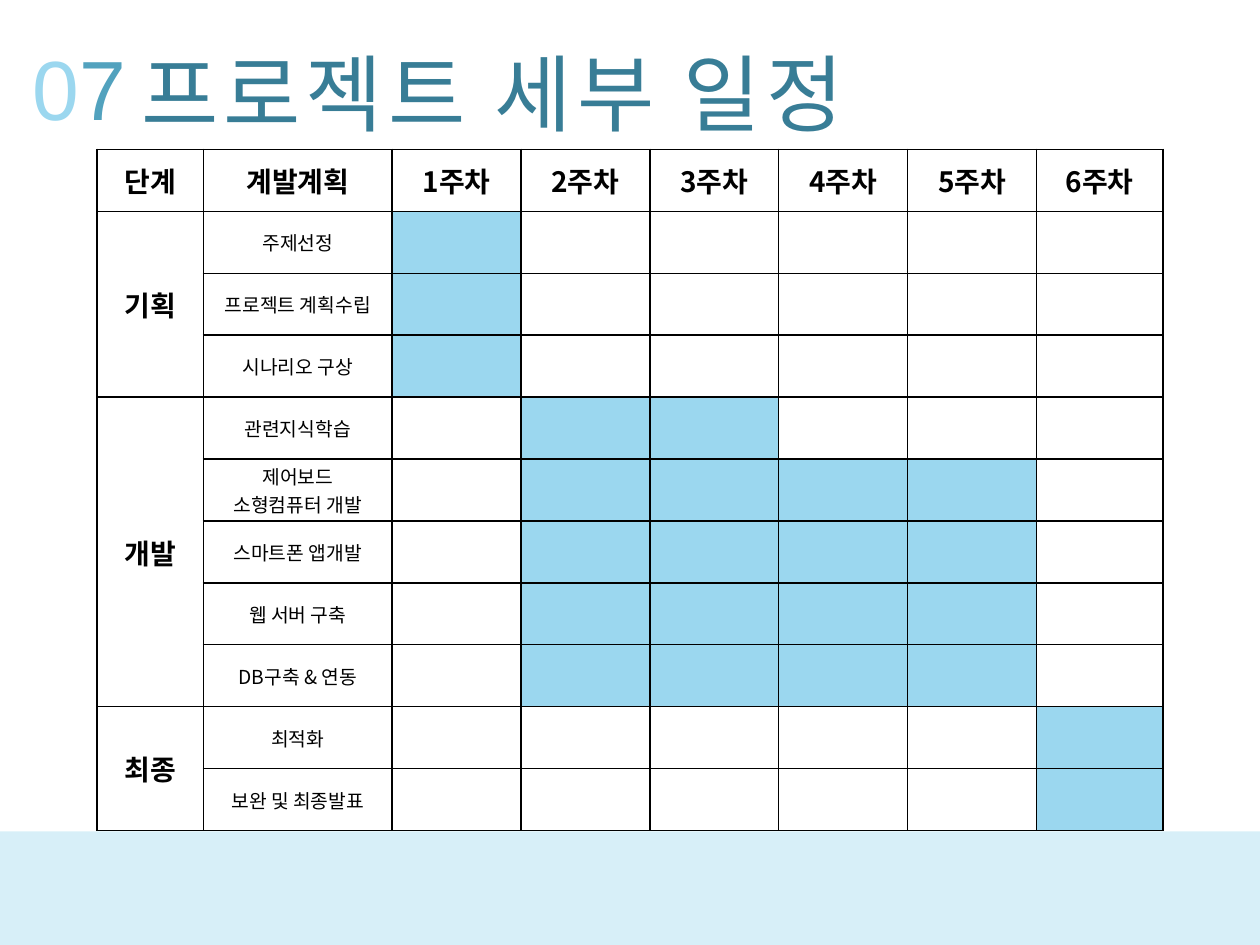
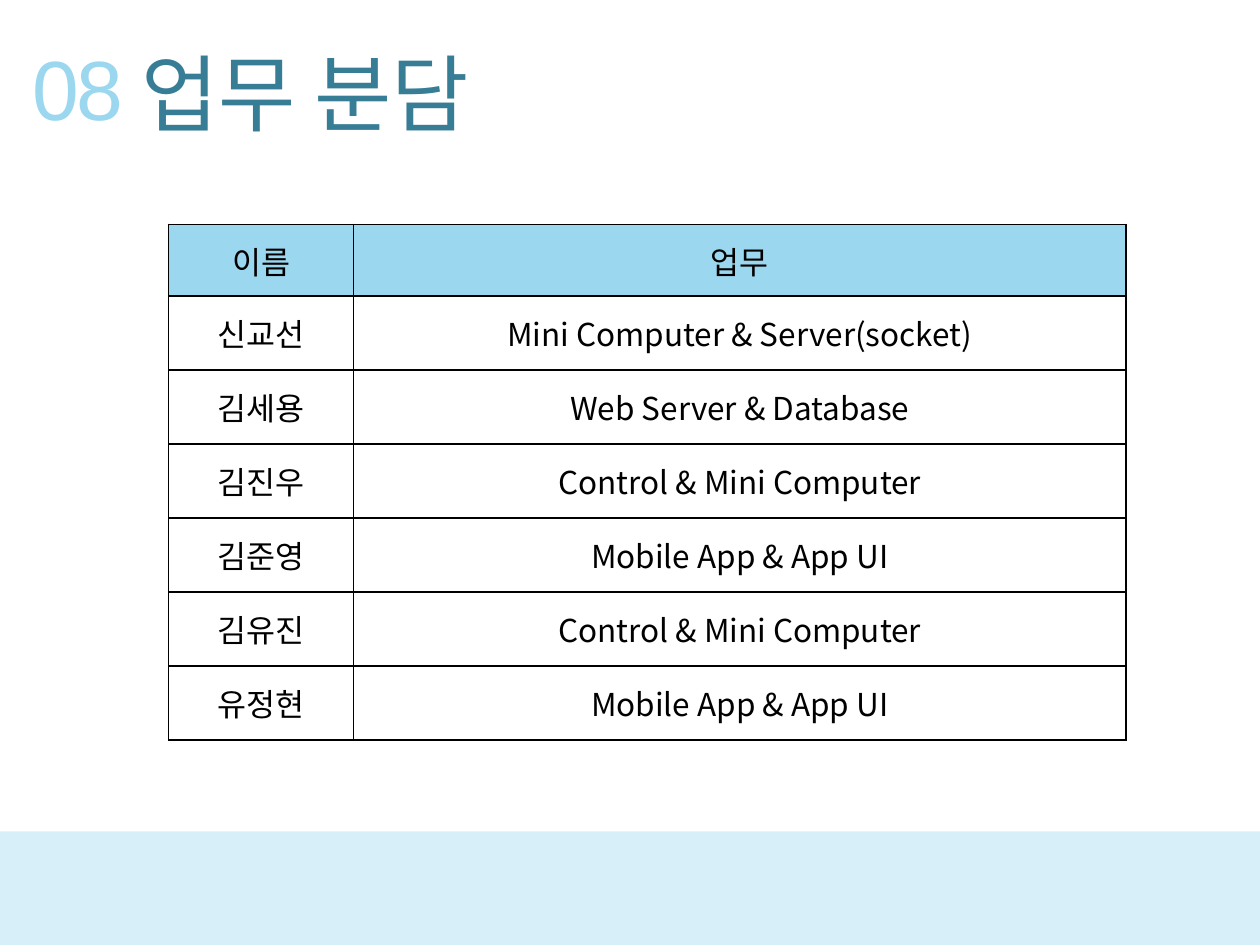
from dataclasses import dataclass
from typing import NamedTuple

from lxml.etree import SubElement
from pptx import Presentation
from pptx.dml.color import RGBColor
from pptx.enum.shapes import MSO_SHAPE
from pptx.enum.text import MSO_ANCHOR, MSO_AUTO_SIZE, PP_ALIGN
from pptx.oxml.ns import qn
from pptx.util import Pt

COLORS = {
    "black": "000000",
    "title": "387D96",
    "pale": "9BD7EF",
    "mid": "52A2BE",
    "band": "55BCE3",
}
LATIN, HANGUL = "Arial", "Noto Sans CJK KR"
WIDE, HIGH = 720, 540
BAND_TOP = 475


class Part(NamedTuple):
    text: str
    color: str


class Task(NamedTuple):
    name: str
    first: int  # first busy week
    last: int   # last busy week


class Phase(NamedTuple):
    name: str
    tasks: list[Task]


@dataclass
class Grid:
    left: float
    top: float
    cols: list[float]
    rows: list[float]


# Content
WEEKS = 6
PHASES = [
    Phase("기획", [
        Task("주제선정", 1, 1),
        Task("프로젝트 계획수립", 1, 1),
        Task("시나리오 구상", 1, 1),
    ]),
    Phase("개발", [
        Task("관련지식학습", 2, 3),
        Task("제어보드\n소형컴퓨터 개발", 2, 5),
        Task("스마트폰 앱개발", 2, 5),
        Task("웹 서버 구축", 2, 5),
        Task("DB구축 & 연동", 2, 5),
    ]),
    Phase("최종", [
        Task("최적화", 6, 6),
        Task("보완 및 최종발표", 6, 6),
    ]),
]
DUTIES = [
    ("이름", "업무"),
    ("신교선", "Mini Computer & Server(socket)"),
    ("김세용", "Web Server & Database"),
    ("김진우", "Control & Mini Computer"),
    ("김준영", "Mobile App & App UI"),
    ("김유진", "Control & Mini Computer"),
    ("유정현", "Mobile App & App UI"),
]
PLAN_GRID = Grid(55.5, 85.4, [60.8, 107.8] + [73.65] * 5 + [72.2], [35.4] * 11)
DUTY_GRID = Grid(96.3, 128.2, [105.8, 441.4], [41] + [42.3] * 6)


def rgb(name: str) -> RGBColor:
    return RGBColor.from_string(COLORS[name])


def add_run(para, text: str, size: float, color: str, font: str,
            bold: bool = False, gap: float = 0) -> None:
    run = para.add_run()
    run.text = text
    run.font.name, run.font.size, run.font.bold = font, Pt(size), bold
    run.font.color.rgb = rgb(color)
    props = run.font._element
    SubElement(props, qn("a:ea")).set("typeface", HANGUL)
    if gap:
        props.set("spc", str(int(gap * 100)))


def place(shape, left: float, top: float, wide: float, high: float) -> None:
    shape.left, shape.top = Pt(left), Pt(top)
    shape.width, shape.height = Pt(wide), Pt(high)


def add_head(shape, parts: list[Part], gap: float) -> None:
    frame = shape.text_frame
    frame.word_wrap = True
    frame.auto_size = MSO_AUTO_SIZE.SHAPE_TO_FIT_TEXT
    frame.vertical_anchor = MSO_ANCHOR.TOP
    para = frame.paragraphs[0]
    para.alignment = PP_ALIGN.LEFT
    for part in parts:
        add_run(para, part.text, 48, part.color, LATIN, gap=gap)


def add_slide(deck, title: str, number: list[Part], gap: float = 0):
    slide = deck.slides.add_slide(deck.slide_layouts[5])
    # Title and its number
    head = slide.shapes.title
    place(head, 73.4, 20.2, 530, 65.4)
    add_head(head, [Part(title, "title")], gap)
    box = slide.shapes.add_textbox(Pt(11.5), Pt(17.3), Pt(85), Pt(65.4))
    add_head(box, number, -1.5)
    # Footer band
    band = slide.shapes.add_shape(MSO_SHAPE.RECTANGLE, 0, Pt(BAND_TOP),
                                  Pt(WIDE), Pt(HIGH - BAND_TOP))
    band.shadow.inherit = False
    band.line.fill.background()
    band.fill.solid()
    band.fill.fore_color.rgb = rgb("band")
    tint = band._element.spPr.find(qn("a:solidFill"))[0]
    SubElement(tint, qn("a:alpha")).set("val", "23000")
    return slide


def add_edges(cell) -> None:
    props = cell._tc.get_or_add_tcPr()
    for side in ("lnL", "lnR", "lnT", "lnB"):
        line = SubElement(props, qn(f"a:{side}"), w=str(Pt(1)))
        fill = SubElement(line, qn("a:solidFill"))
        SubElement(fill, qn("a:srgbClr"), val=COLORS["black"])


def add_grid(slide, grid: Grid):
    frame = slide.shapes.add_table(
        len(grid.rows), len(grid.cols), Pt(grid.left), Pt(grid.top),
        Pt(sum(grid.cols)), Pt(sum(grid.rows)))
    table = frame.table
    table.first_row = table.horz_banding = False
    for col, wide in zip(table.columns, grid.cols):
        col.width = Pt(wide)
    for row, high in zip(table.rows, grid.rows):
        row.height = Pt(high)
    for cell in table.iter_cells():
        add_edges(cell)
        cell.fill.background()
        cell.margin_top = cell.margin_bottom = Pt(1.5)
    return table


def paint(cell) -> None:
    cell.fill.solid()
    cell.fill.fore_color.rgb = rgb("pale")


def write(cell, text: str, size: float, bold: bool = False) -> None:
    cell.vertical_anchor = MSO_ANCHOR.MIDDLE
    frame = cell.text_frame
    for i, line in enumerate(text.split("\n")):
        para = frame.add_paragraph() if i else frame.paragraphs[0]
        para.alignment = PP_ALIGN.CENTER
        add_run(para, line, size, "black", HANGUL, bold)


def add_plan(deck) -> None:
    slide = add_slide(deck, "프로젝트 세부 일정",
                      [Part("0", "pale"), Part("7", "mid")], gap=3)
    table = add_grid(slide, PLAN_GRID)
    heads = ["단계", "계발계획"] + [f"{n}주차" for n in range(1, WEEKS + 1)]
    for col, text in enumerate(heads):
        write(table.cell(0, col), text, 16, True)
    row = 1
    for phase in PHASES:
        first = table.cell(row, 0)
        first.merge(table.cell(row + len(phase.tasks) - 1, 0))
        write(first, phase.name, 16, True)
        for task in phase.tasks:
            write(table.cell(row, 1), task.name, 11)
            for week in range(task.first, task.last + 1):
                paint(table.cell(row, week + 1))
            row += 1


def add_duties(deck) -> None:
    slide = add_slide(deck, "업무 분담", [Part("08", "pale")])
    table = add_grid(slide, DUTY_GRID)
    for row, texts in enumerate(DUTIES):
        for col, text in enumerate(texts):
            cell = table.cell(row, col)
            write(cell, text, 18)
            if row == 0:
                paint(cell)


def main() -> None:
    deck = Presentation()
    deck.slide_width, deck.slide_height = Pt(WIDE), Pt(HIGH)
    add_plan(deck)
    add_duties(deck)
    deck.save("out.pptx")


if __name__ == "__main__":
    main()
